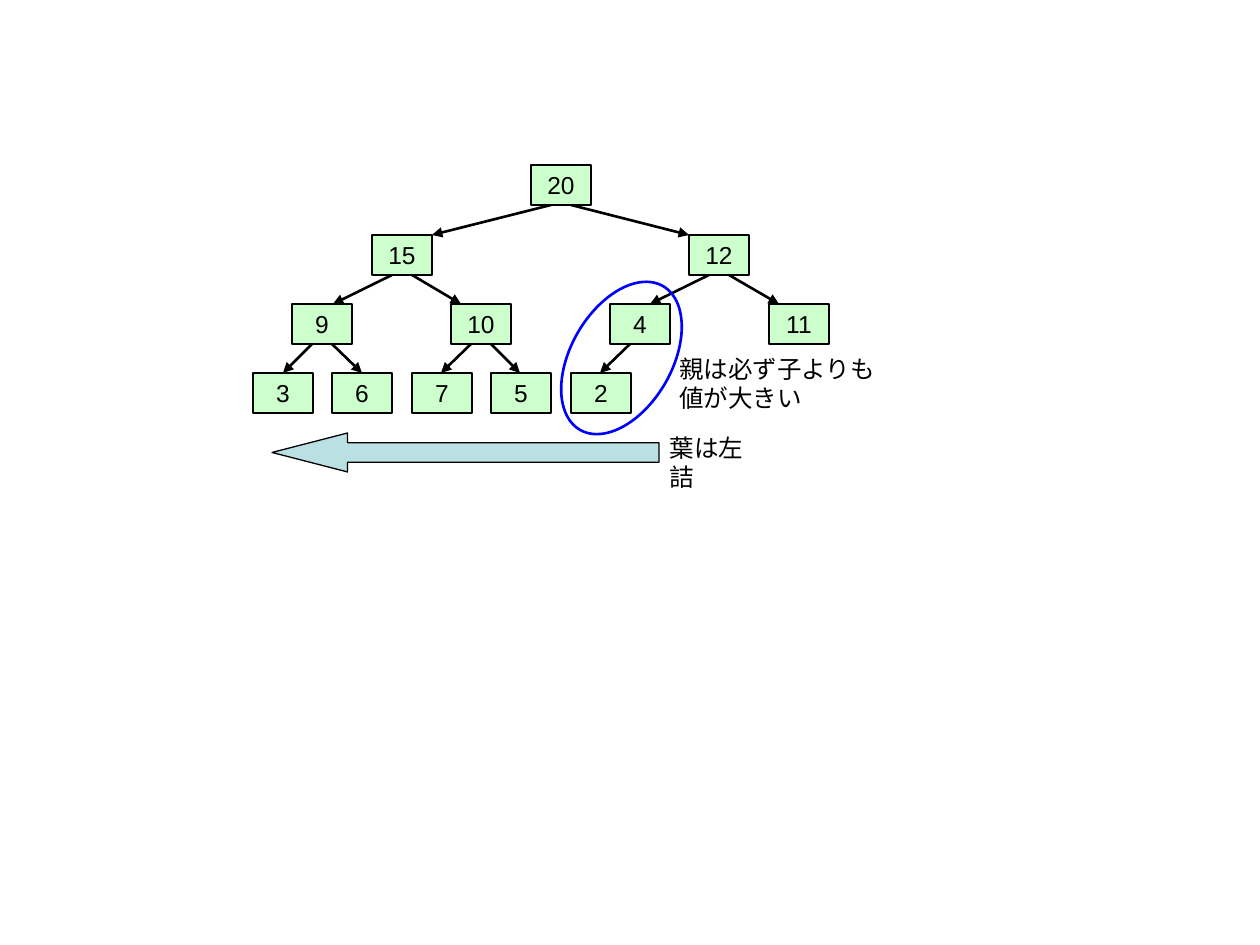
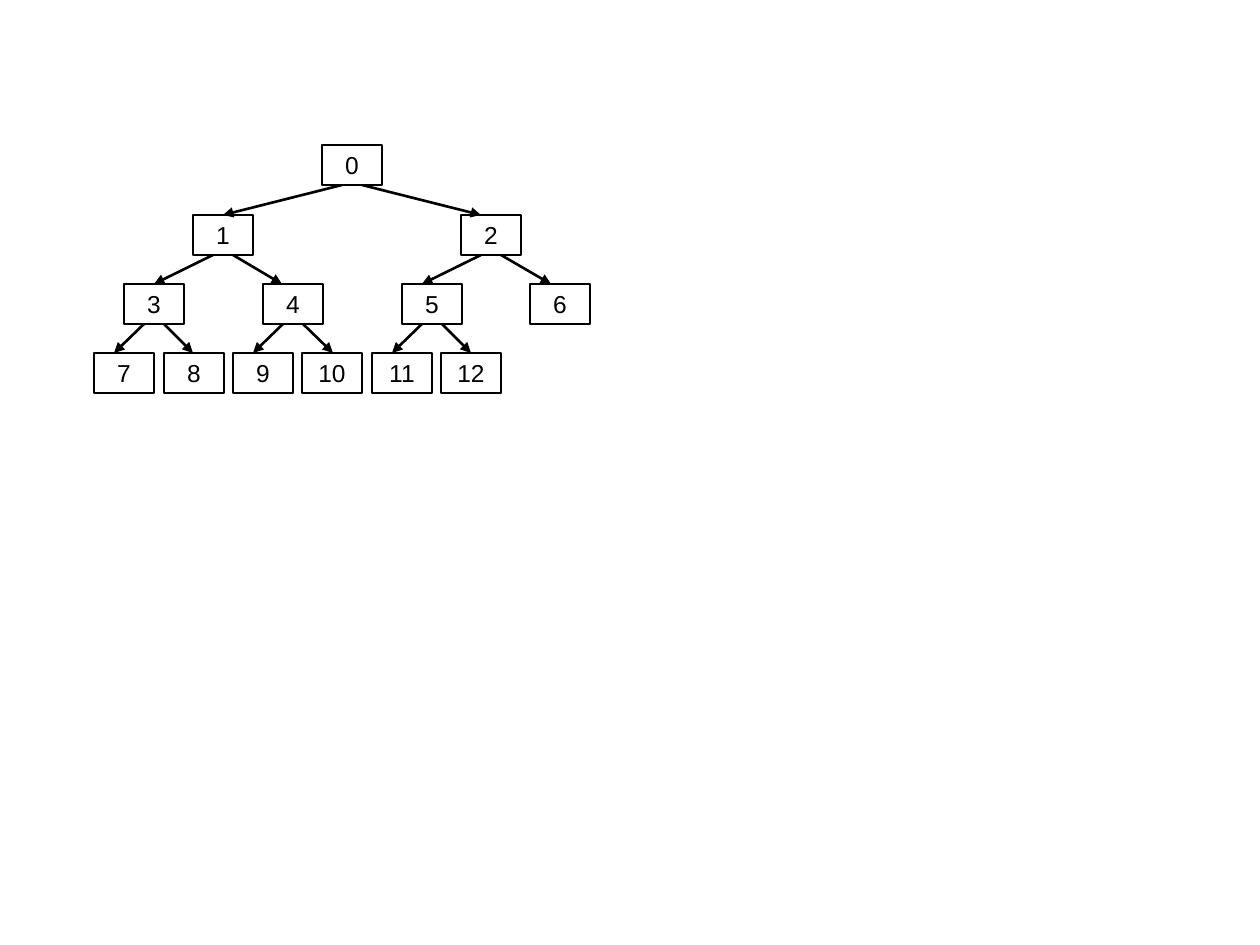
"""Build two slides that show a heap as a tree and the index of each node."""
from lxml.etree import SubElement
from pptx import Presentation
from pptx.dml.color import RGBColor
from pptx.enum.shapes import MSO_CONNECTOR as LINE, MSO_SHAPE as SHAPE
from pptx.enum.text import MSO_ANCHOR, MSO_AUTO_SIZE, PP_ALIGN
from pptx.oxml.ns import qn
from pptx.util import Emu, Pt

THEME = {
    "font": "Arial", "size": Pt(14), "ink": RGBColor(0, 0, 0),
    "heap": RGBColor(0xCC, 0xFF, 0xCC), "index": RGBColor(0xFF, 0xFF, 0xFF),
    "ring": RGBColor(0, 0, 0xFF), "arrow": RGBColor(0xBB, 0xE0, 0xE3),
    "border": Pt(1), "edge": Pt(1.5), "thin": Pt(0.75),
}
SCALE = 914400 / 126
NODE_WIDTH, NODE_HEIGHT, LEVEL_STEP, FORK = 60, 40, 69.5, 10


def add_outlined(page, kind, bounds, fill, line, width):
    box = page.shapes.add_shape(kind, *[Emu(round(n * SCALE)) for n in bounds])
    box.shadow.inherit = False
    if fill is None:
        box.fill.background()
    else:
        box.fill.solid()
        box.fill.fore_color.rgb = fill
    box.line.color.rgb = line
    box.line.width = width
    return box


def write(box, lines, frame_format, align):
    frame = box.text_frame
    for name, value in frame_format.items():
        setattr(frame, name, value)
    for number, words in enumerate(lines):
        para = frame.add_paragraph() if number else frame.paragraphs[0]
        para.alignment = align
        span = para.add_run()
        span.text = words
        for name, value in {"name": THEME["font"], "size": THEME["size"]}.items():
            setattr(span.font, name, value)
        span.font.color.rgb = THEME["ink"]


deck = Presentation()
deck.slide_width, deck.slide_height = Emu(round(1260 * SCALE)), Emu(round(945 * SCALE))

trees = [
    {"fill": THEME["heap"], "top": 165,
     "values": [20, 15, 12, 9, 10, 4, 11, 3, 6, 7, 5, 2],
     "lefts": [531, 372, 689, 292, 451, 610, 769, 253, 332, 412, 491, 571],
     "tips": [None, 432, 689, 333, 461, 650, 779, 283, 362, 441, 520, 600]},
    {"fill": THEME["index"], "top": 145,
     "values": range(13),
     "lefts": [322, 193, 461, 124, 263, 402, 530, 94, 164, 233, 302, 372, 441],
     "tips": [None, 223, 481, 154, 282, 422, 551, 114, 193, 253, 333, 392, 471]},
]
node_format = {"word_wrap": False, "vertical_anchor": MSO_ANCHOR.MIDDLE}
pages = []
for tree in trees:
    page = deck.slides.add_slide(deck.slide_layouts[6])
    pages.append(page)
    tops = [tree["top"] + round(LEVEL_STEP * level) for level in range(4)]
    for index in reversed(range(len(tree["values"]))):
        level = (index + 1).bit_length() - 1
        bounds = (tree["lefts"][index], tops[level], NODE_WIDTH, NODE_HEIGHT)
        node = add_outlined(page, SHAPE.RECTANGLE, bounds, tree["fill"],
                            THEME["ink"], THEME["border"])
        write(node, [str(tree["values"][index])], node_format, PP_ALIGN.CENTER)
        if index == 0:
            continue
        parent_center = tree["lefts"][(index - 1) // 2] + NODE_WIDTH // 2
        start = parent_center + (-FORK if index % 2 else FORK)
        ends = (start, tops[level - 1] + NODE_HEIGHT, tree["tips"][index], tops[level])
        edge = page.shapes.add_connector(
            LINE.STRAIGHT, *[Emu(round(n * SCALE)) for n in ends])
        edge.line.color.rgb = THEME["ink"]
        edge.line.width = THEME["edge"]
        SubElement(edge.line._get_or_add_ln(), qn("a:tailEnd"), type="triangle")
        SubElement(edge._element.spPr, qn("a:effectLst"))

heap_page = pages[0]
ring = add_outlined(heap_page, SHAPE.OVAL, (571, 275, 101, 166), None,
                    THEME["ring"], THEME["edge"])
ring.rotation = 30
left_arrow = add_outlined(heap_page, SHAPE.LEFT_ARROW, (272, 433, 387, 39),
                          THEME["arrow"], THEME["ink"], THEME["thin"])
left_arrow.adjustments[0], left_arrow.adjustments[1] = 0.5, 1.94

note_format = {"word_wrap": False, "auto_size": MSO_AUTO_SIZE.SHAPE_TO_FIT_TEXT,
               "margin_left": 0, "margin_top": 0, "margin_right": 0, "margin_bottom": 0}
notes = [((679, 354, 197, 59), ["親は必ず子よりも", "値が大きい"]),
         ((670, 433, 98, 29), ["葉は左詰"])]
for bounds, lines in notes:
    note = heap_page.shapes.add_textbox(*[Emu(round(n * SCALE)) for n in bounds])
    write(note, lines, note_format, PP_ALIGN.LEFT)

deck.save("out.pptx")
